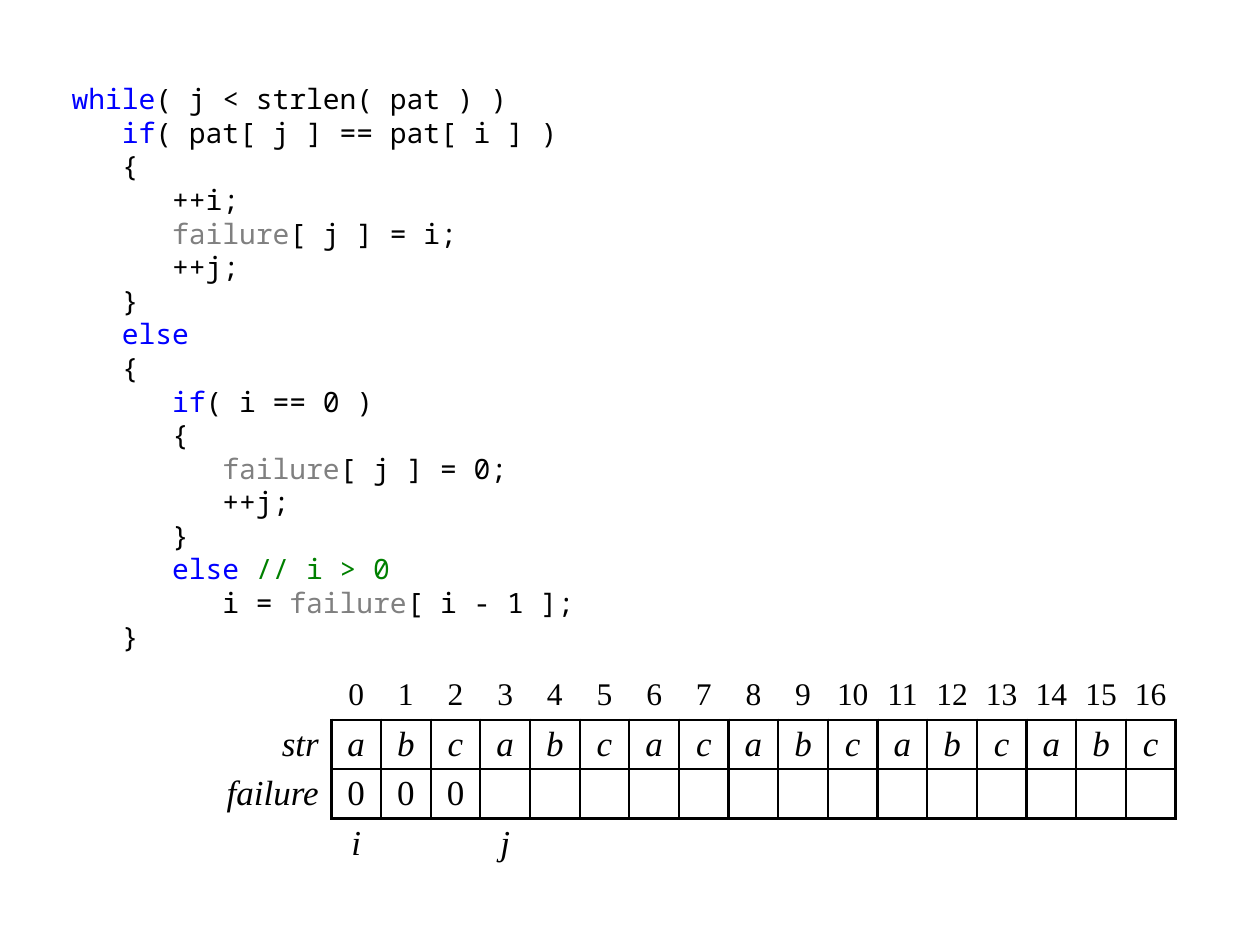
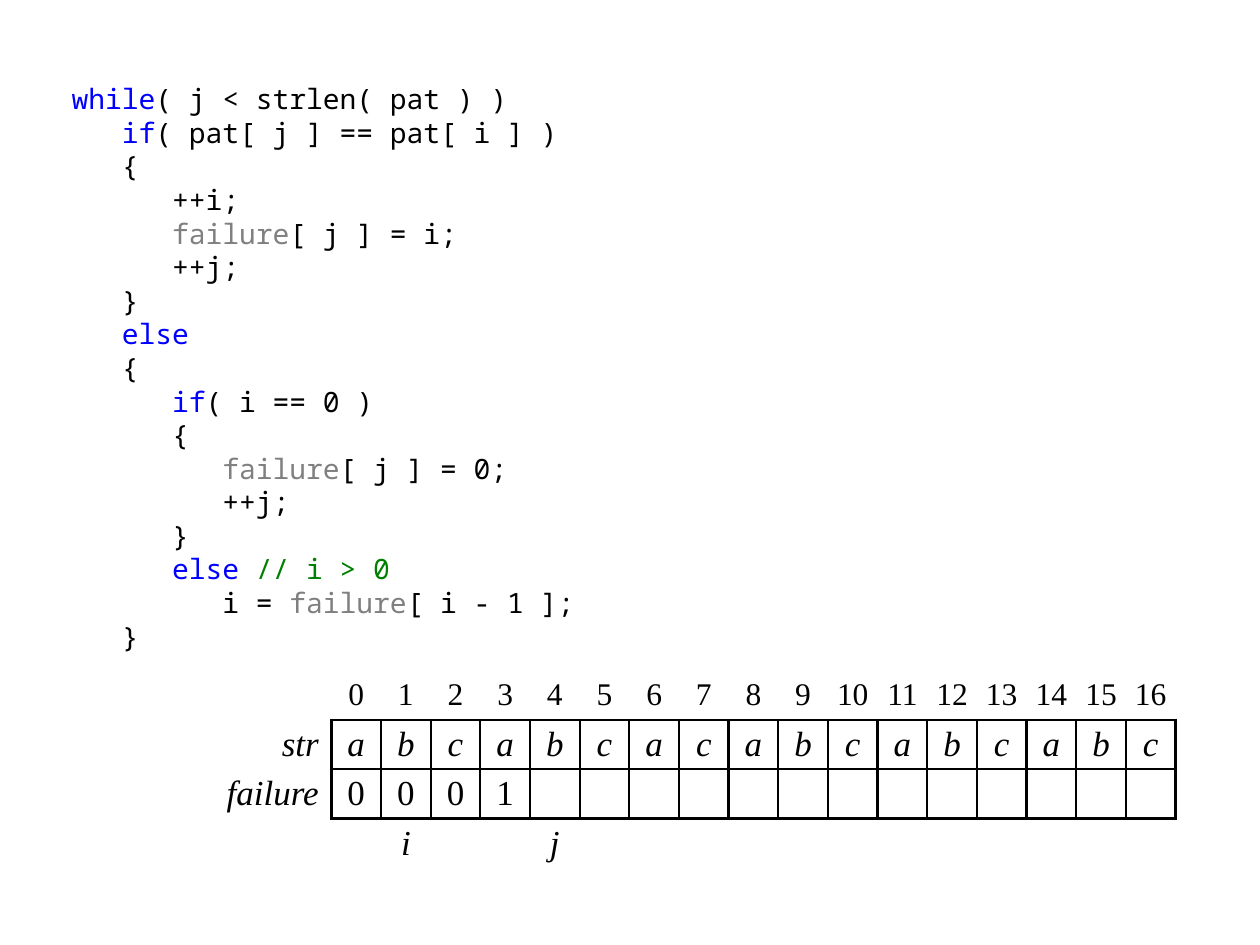
from lxml import etree
from pptx import Presentation
from pptx.dml.color import RGBColor
from pptx.enum.text import MSO_ANCHOR as ANCHOR, PP_ALIGN as ALIGN
from pptx.oxml.ns import qn
from pptx.util import Inches, Pt

BLACK, BLUE, GRAY, GREEN = "000000", "0000FF", "808080", "008000"
CODE_FONT, TABLE_FONT = "Noto Sans Mono", "Times New Roman"
BORDER_WIDTH = Pt(1.5)

TOKEN_COLORS = {
    "while": BLUE,
    "if": BLUE,
    "else": BLUE,
    "failure": GRAY,
    "// i > 0": GREEN,
}
CODE = """while|( j < strlen( pat ) )
   |if|( pat[ j ] == pat[ i ] )
   {
      ++i;
      |failure|[ j ] = i;
      ++j;
   }
   |else
   {
      |if|( i == 0 )
      {
         |failure|[ j ] = 0;
         ++j;
      }
      |else |// i > 0
         i = |failure|[ i - 1 ];
   }"""

PATTERN = "abcabcacabcabcabc"
STEPS = [
    {"failure": "000", "i": 0, "j": 3},
    {"failure": "0001", "i": 1, "j": 4},
]


def style_font(font, name, size, color, italic=False):
    font.name = name
    font.size = Pt(size)
    font.italic = italic
    font.color.rgb = RGBColor.from_string(color)


def set_borders(cell, row, column):
    neighbours = {"a:lnL": (0, -1), "a:lnR": (0, 1), "a:lnT": (-1, 0), "a:lnB": (1, 0)}
    properties = cell._tc.get_or_add_tcPr()
    for position, (tag, (down, across)) in enumerate(neighbours.items()):
        sides = [(row, column), (row + down, column + across)]
        drawn = any(r in (1, 2) and 1 <= c <= len(PATTERN) for r, c in sides)
        line = etree.Element(qn(tag), w=str(BORDER_WIDTH if drawn else 0))
        fill = etree.SubElement(line, qn("a:solidFill" if drawn else "a:noFill"))
        if drawn:
            etree.SubElement(fill, qn("a:srgbClr"), val=BLACK)
        properties.insert(position, line)


prs = Presentation()
prs.slide_width = Inches(10)
prs.slide_height = Inches(7.5)

for step in STEPS:
    slide = prs.slides.add_slide(prs.slide_layouts[6])

    code = slide.shapes.add_textbox(Inches(0.47), Inches(0.6), Inches(4.33), Inches(4.72)).text_frame
    code.word_wrap = True
    for number, line in enumerate(CODE.splitlines()):
        paragraph = code.paragraphs[0] if number == 0 else code.add_paragraph()
        paragraph.line_spacing = Pt(19.2)
        for token in filter(None, line.split("|")):
            run = paragraph.add_run()
            run.text = token
            style_font(run.font, CODE_FONT, 16, TOKEN_COLORS.get(token.strip(), BLACK))

    pointers = [""] * len(PATTERN)
    pointers[step["i"]] = "i"
    pointers[step["j"]] = "j"
    rows = [
        ["", *map(str, range(len(PATTERN)))],
        ["str", *PATTERN],
        ["failure", *step["failure"].ljust(len(PATTERN))],
        ["", *pointers],
    ]
    trace = slide.shapes.add_table(
        len(rows), len(rows[0]), Inches(1.65), Inches(5.32), Inches(7.68), Inches(1.57)
    ).table
    trace.first_row = False
    trace.horz_banding = False
    for column in trace.columns:
        column.width = Inches(6.7 / len(PATTERN))
    trace.columns[0].width = Inches(0.98)

    for r, values in enumerate(rows):
        trace.rows[r].height = Inches(1.57 / len(rows))
        for c, value in enumerate(values):
            cell = trace.cell(r, c)
            cell.fill.background()
            cell.vertical_anchor = ANCHOR.MIDDLE
            cell.margin_left = cell.margin_right = Inches(0.1 if c == 0 else 0.04)
            cell.margin_top = cell.margin_bottom = 0
            set_borders(cell, r, c)
            cell.text_frame.text = value.strip()
            paragraph = cell.text_frame.paragraphs[0]
            paragraph.alignment = ALIGN.RIGHT if c == 0 else ALIGN.CENTER
            for run in paragraph.runs:
                style_font(run.font, TABLE_FONT, 18 if r == 0 else 20, BLACK, value.strip().isalpha())

prs.save("out.pptx")
